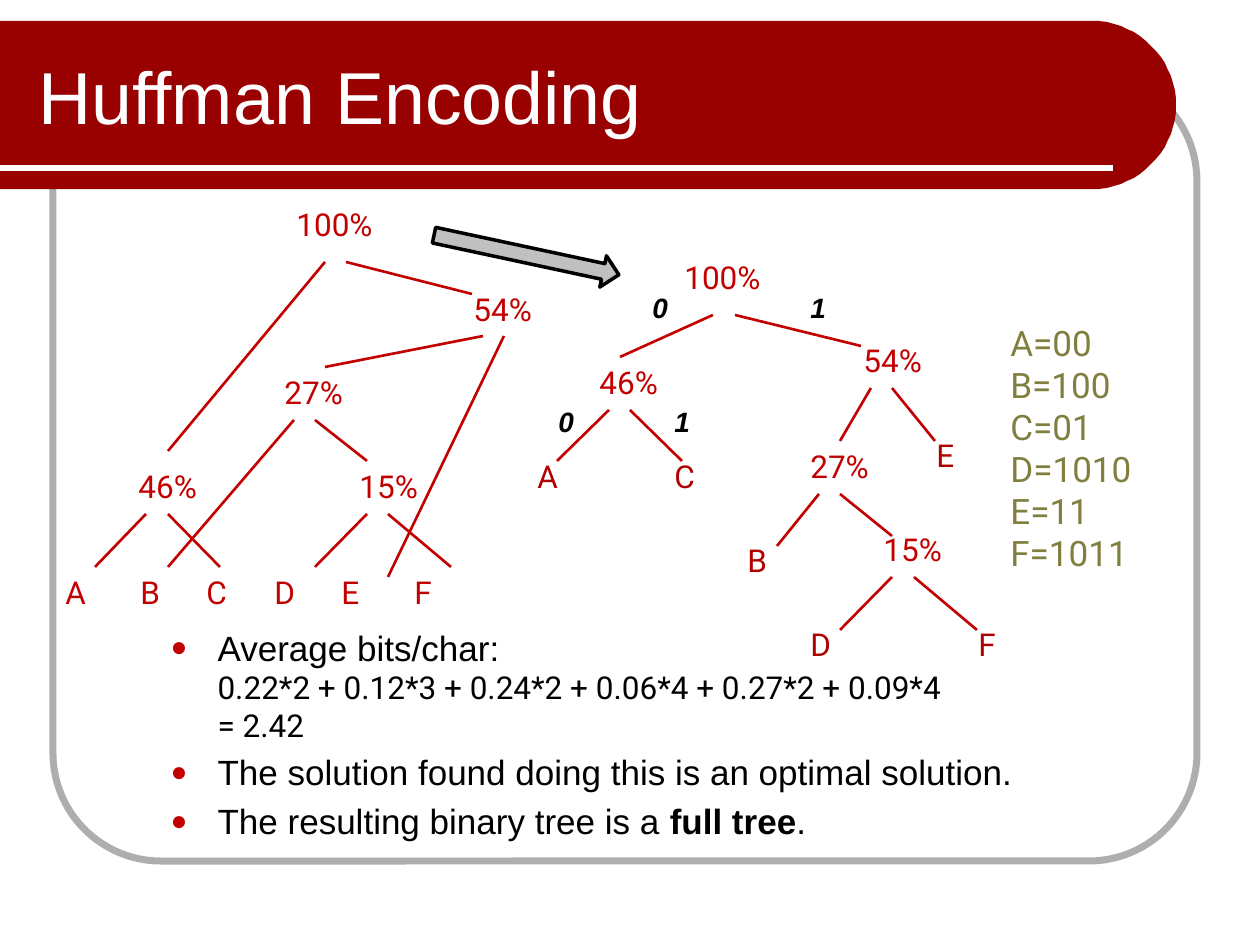
import math
from lxml import etree
from pptx import Presentation
from pptx.dml.color import RGBColor
from pptx.enum import shapes, text
from pptx.oxml import ns
from pptx.util import Pt

SCALE = 914400 // 126
RED = RGBColor(0x99, 0x00, 0x00)
BRIGHT = RGBColor(0xC3, 0x00, 0x00)
LEAF = RGBColor(0xB0, 0x00, 0x00)
OLIVE = RGBColor(0x81, 0x7F, 0x3F)
GREY = RGBColor(0xAE, 0xAE, 0xAE)
SILVER = RGBColor(0xC0, 0xC0, 0xC0)
BLACK = RGBColor(0, 0, 0)
WHITE = RGBColor(0xFF, 0xFF, 0xFF)

OLD_NODES = [("15%", 347, 461, 94), ("27%", 272, 367, 84), ("46%", 126, 461, 94),
             ("54%", 461, 284, 84), ("100%", 284, 199, 146)]
OLD_EDGES = [(315, 567, 367, 514), (388, 514, 451, 567), (168, 567, 294, 420),
             (315, 420, 367, 461), (95, 567, 146, 514), (168, 514, 220, 567),
             (388, 577, 504, 336), (325, 367, 483, 336), (168, 451, 325, 262),
             (472, 294, 346, 262)]
NEW_NODES = [("15%", 871, 524, 94), ("27%", 798, 441, 84), ("46%", 587, 357, 94),
             ("54%", 851, 335, 84), ("100%", 672, 252, 146)]
NEW_EDGES = [(840, 630, 892, 577), (914, 577, 977, 630), (777, 546, 819, 494),
             (840, 494, 892, 536), (557, 461, 609, 410), (630, 410, 682, 461),
             (935, 441, 892, 388), (840, 441, 871, 388), (620, 357, 713, 315),
             (861, 346, 735, 315)]
LEAVES = [("A", 525, 451), ("C", 662, 451), ("B", 735, 535),
          ("D", 798, 619), ("F", 966, 619), ("E", 924, 430)]
BITS = [("0", 640, 284), ("1", 798, 284), ("0", 546, 398), ("1", 662, 398)]
TABS = [75, 141, 209, 276, 349]


def px(*vals):
    """Turn pixels into EMU."""
    return [round(v * SCALE) for v in vals]


def place(shape, *box):
    """Move and size a shape."""
    shape.left, shape.top, shape.width, shape.height = px(*box)


def style(run, size, color, face="Roboto", bold=False, slant=False):
    """Format one run."""
    font = run.font
    font.name, font.size, font.bold, font.italic = face, Pt(size), bold, slant
    font.color.rgb = color


def label(host, words, box, size, color, **look):
    """Add a text box and return its paragraph."""
    frame = host.add_textbox(*px(*box)).text_frame
    frame.word_wrap = True
    frame.text = words
    for run in frame.paragraphs[0].runs:
        style(run, size, color, **look)
    return frame.paragraphs[0]


def line(host, ends, color, width):
    """Add a straight line."""
    edge = host.add_connector(shapes.MSO_CONNECTOR.STRAIGHT, *px(*ends))
    edge.line.color.rgb = color
    edge.line.width = Pt(width)
    etree.SubElement(edge._element.spPr, ns.qn("a:effectLst"))


def paint(shape, fill, color=None, width=0):
    """Set fill and outline of a shape."""
    shape.shadow.inherit = False
    if fill is None:
        shape.fill.background()
    else:
        shape.fill.solid()
        shape.fill.fore_color.rgb = fill
    if color is None:
        shape.line.fill.background()
    else:
        shape.line.color.rgb = color
        shape.line.width = Pt(width)


def decor(host):
    """Draw the frame and the banner."""
    frame = host.add_shape(shapes.MSO_SHAPE.ROUNDED_RECTANGLE, *px(53, 73, 1144, 788))
    frame.adjustments[0] = 0.137
    paint(frame, None, GREY, 4)
    turns = [math.radians(a) for a in range(-90, 91, 5)]
    arc = [(1092 + 84 * math.cos(a), 105 + 84 * math.sin(a)) for a in turns]
    pen = host.build_freeform(0, 21, scale=SCALE)
    pen.add_line_segments(arc + [(0, 189)], close=True)
    paint(pen.convert_to_shape(), RED)
    line(host, (0, 168, 1113, 168), WHITE, 3)


def tree(host, nodes, edges):
    """Draw a code tree and return its group."""
    group = host.add_group_shape().shapes
    for ends in edges:
        line(group, ends, BRIGHT, 1.5)
    for words, x, y, wide in nodes:
        label(group, words, (x, y, wide, 50), 18, BRIGHT)
    return group


def tabs(para, stops):
    """Set tab stops on a paragraph."""
    items = etree.SubElement(para._p.get_or_add_pPr(), ns.qn("a:tabLst"))
    for stop in stops:
        etree.SubElement(items, ns.qn("a:tab"), pos=str(px(stop)[0]), algn="l")


def bullet(para):
    """Give a paragraph a round red bullet."""
    props = para._p.get_or_add_pPr()
    props.set("marL", str(px(47)[0]))
    props.set("indent", str(-px(47)[0]))
    tint = etree.SubElement(props, ns.qn("a:buClr"))
    etree.SubElement(tint, ns.qn("a:srgbClr"), val=str(BRIGHT))
    etree.SubElement(props, ns.qn("a:buSzPct"), val="80000")
    etree.SubElement(props, ns.qn("a:buFont"), typeface="Arial")
    etree.SubElement(props, ns.qn("a:buChar"), char="●")


def head(shape):
    """Fill the title."""
    place(shape, 26, 32, 982, 126)
    frame = shape.text_frame
    frame.text = "Huffman Encoding"
    frame.auto_size = text.MSO_AUTO_SIZE.NONE
    frame.vertical_anchor = text.MSO_ANCHOR.MIDDLE
    para = frame.paragraphs[0]
    para.alignment = text.PP_ALIGN.LEFT
    style(para.runs[0], 42, WHITE, "Arial")


def body(shape):
    """Fill the bulleted list."""
    place(shape, 158, 620, 1018, 284)
    frame = shape.text_frame
    frame.auto_size = text.MSO_AUTO_SIZE.NONE
    frame.text = ("Average bits/char:\v"
                  "0.22*2 + 0.12*3 + 0.24*2 + 0.06*4 + 0.27*2 + 0.09*4\v= 2.42\n"
                  "The solution found doing this is an optimal solution.\n"
                  "The resulting binary tree is a ")
    first, _, last = frame.paragraphs
    for words in ("full tree", "."):
        last.add_run().text = words
    for para in frame.paragraphs:
        bullet(para)
        for run in para.runs:
            style(run, 20, BLACK, "Arial")
    for run in first.runs[1:]:
        style(run, 18, BLACK)
    last.runs[1].font.bold = True


def main():
    """Build the slide."""
    deck = Presentation()
    deck.slide_width, deck.slide_height = px(1260, 945)
    slide = deck.slides.add_slide(deck.slide_layouts[1])
    host = slide.shapes
    title, points = slide.placeholders
    decor(host)
    for shape, fill in ((title, head), (points, body)):
        fill(shape)
        host._spTree.append(shape._element)
    label(host, "A=00\vB=100\vC=01\vD=1010\vE=11\vF=1011", (998, 315, 183, 267), 20, OLIVE)
    old = tree(host, OLD_NODES, OLD_EDGES)
    tabs(label(old, "A\tB\tC\tD\tE\tF", (53, 567, 441, 50), 18, BRIGHT), TABS)
    new = tree(host, NEW_NODES, NEW_EDGES)
    for words, x, y in LEAVES:
        label(new, words, (x, y, 50, 63), 18, LEAF)
    arrow = host.add_shape(shapes.MSO_SHAPE.RIGHT_ARROW, *px(432, 239, 189, 32))
    arrow.rotation = 12.1
    paint(arrow, SILVER, BLACK, 2)
    for words, x, y in BITS:
        label(host, words, (x, y, 39, 47), 16, BLACK, face="Arial", bold=True, slant=True)
    deck.save("out.pptx")


main()
